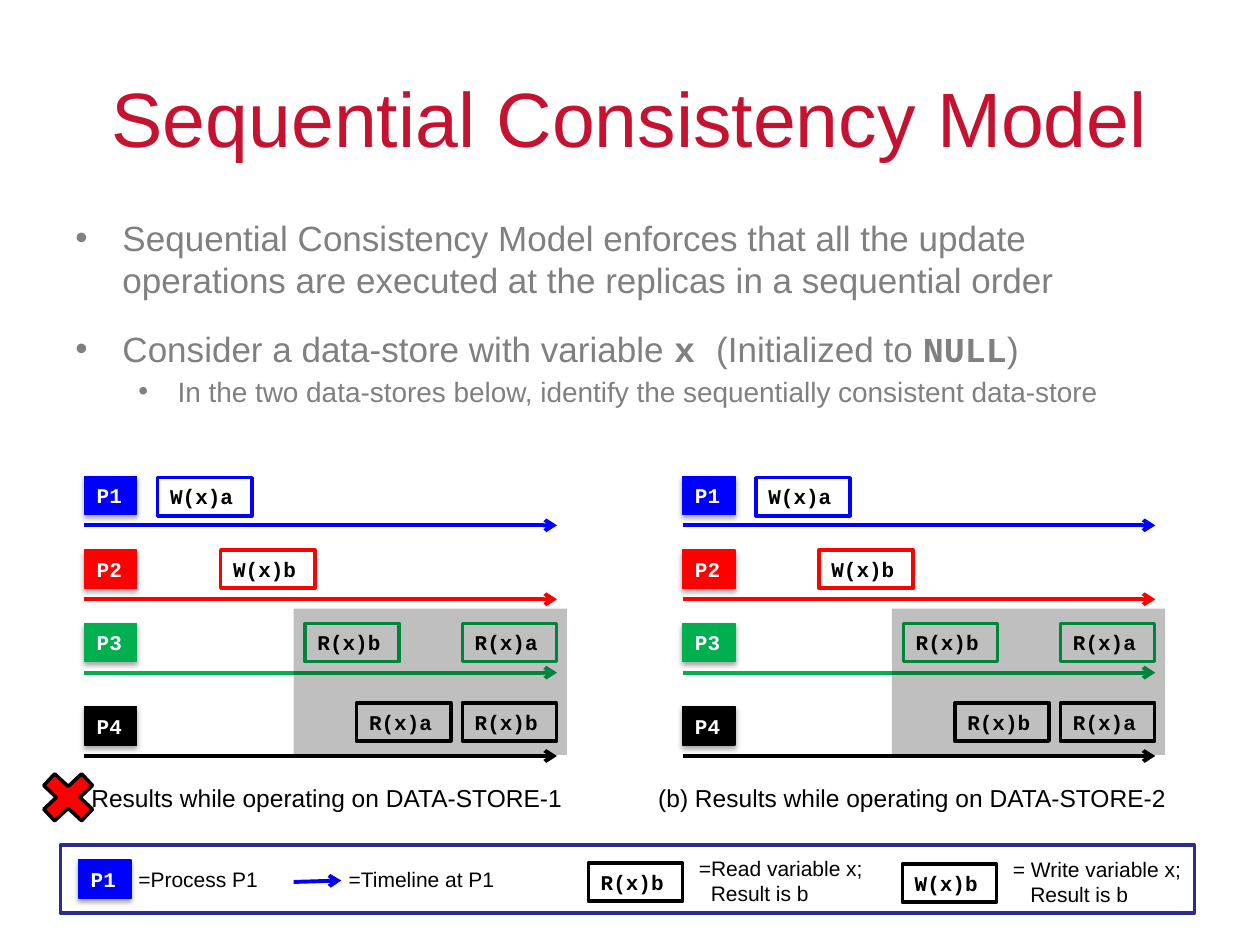
from lxml.etree import SubElement
from pptx import Presentation
from pptx.dml.color import RGBColor
from pptx.enum.shapes import MSO_CONNECTOR, MSO_SHAPE as SHAPE
from pptx.enum.text import MSO_ANCHOR as ANCHOR, PP_ALIGN as ALIGN
from pptx.oxml.ns import qn
from pptx.util import Cm, Pt

COLORS = {"title": "C41230", "body": "808080", "frame": "2D2D8A", "blue": "0000FF",
          "red": "FF0000", "green": "00B050", "black": "000000", "white": "FFFFFF"}
MONO = {"name": "Courier New", "size": Pt(12), "bold": True}
SMALL = {"name": "Arial", "size": Pt(12)}
CAPTION = {"name": "Arial", "size": Pt(14)}
TITLE = {"name": "Arial", "size": Pt(44)}
BODY = {"name": "Arial", "size": Pt(20)}
SUB_BODY = {"name": "Arial", "size": Pt(16)}
CODE = {"name": "Courier New", "size": Pt(20), "bold": True}

# Process name, colour, label top in the store, shift of operations from that top
PROCESSES = [("P1", "blue", 0, 0.03), ("P2", "red", 1.49, 0),
             ("P3", "green", 2.97, 0), ("P4", "black", 4.65, -0.08)]
LABEL_W, OP_W, BOX_H = 1.06, 1.9, 0.77


def rgb(color):
    return RGBColor.from_string(COLORS[color])


def add_run(p, text, fmt, color):
    r = p.add_run()
    r.text = text
    for key, value in fmt.items():
        setattr(r.font, key, value)
    r.font.color.rgb = rgb(color)


def add_text(slide, x, y, w, h, lines, fmt, color="black", hanging=0):
    """Add a text box; lines after the first are indented by hanging cm."""
    tf = slide.shapes.add_textbox(Cm(x), Cm(y), Cm(w), Cm(h)).text_frame
    tf.word_wrap = True
    for i, line in enumerate(lines):
        p = tf.add_paragraph() if i else tf.paragraphs[0]
        if i:
            p._p.get_or_add_pPr().set("marL", str(Cm(hanging)))
        add_run(p, line, fmt, color)
    return tf


def add_box(slide, x, y, w, h, fill, line=None, width=2, shape=SHAPE.RECTANGLE):
    sp = slide.shapes.add_shape(shape, Cm(x), Cm(y), Cm(w), Cm(h))
    sp.shadow.inherit = False
    sp.fill.solid()
    sp.fill.fore_color.rgb = rgb(fill)
    if line:
        sp.line.color.rgb = rgb(line)
        sp.line.width = Pt(width)
    else:
        sp.line.fill.background()
    return sp


def set_box_text(sp, text, color):
    tf = sp.text_frame
    tf.word_wrap = True
    tf.vertical_anchor = ANCHOR.TOP
    p = tf.paragraphs[0]
    p.alignment = ALIGN.LEFT
    add_run(p, text, MONO, color)


def add_process(slide, x, y, name, color):
    sp = add_box(slide, x, y, LABEL_W, BOX_H, color, color, 0.75)
    set_box_text(sp, name, "white")
    effects = sp._element.spPr.find(qn("a:effectLst"))
    shadow = SubElement(effects, qn("a:outerShdw"), blurRad=str(Pt(3.1)),
                        dist=str(Pt(1.8)), dir="5400000", rotWithShape="0")
    black = SubElement(shadow, qn("a:srgbClr"), val=COLORS["black"])
    SubElement(black, qn("a:alpha"), val="35000")


def add_operation(slide, x, y, text, color):
    set_box_text(add_box(slide, x, y, OP_W, BOX_H, "white", color), text, "black")


def add_timeline(slide, x1, y1, x2, y2, color):
    line = slide.shapes.add_connector(MSO_CONNECTOR.STRAIGHT, Cm(x1), Cm(y1), Cm(x2), Cm(y2))
    line.line.color.rgb = rgb(color)
    line.line.width = Pt(2.25)
    SubElement(line.line._get_or_add_ln(), qn("a:tailEnd"), type="arrow")
    SubElement(line._element.spPr, qn("a:effectLst"))


def add_title(slide, x, y, w, h):
    tf = add_text(slide, x, y, w, h, ["Sequential Consistency Model"], TITLE, "title")
    tf.vertical_anchor = ANCHOR.MIDDLE
    tf.paragraphs[0].alignment = ALIGN.CENTER


def add_body(slide, x, y, w, h):
    # Level, left margin, hanging indent, space before, runs
    bullets = [
        (0, 0.95, 0.95, 0, [("Sequential Consistency Model enforces that all the update "
                             "operations are executed at the replicas in a sequential order",
                             BODY)]),
        (0, 0.95, 0.95, 15, [("Consider a data-store with variable ", BODY), ("x ", CODE),
                             ("(Initialized to ", BODY), ("NULL", CODE), (")", BODY)]),
        (1, 2.06, 0.79, 3.2, [("In the two data-stores below, identify the sequentially "
                               "consistent data-store", SUB_BODY)]),
    ]
    tf = slide.shapes.add_textbox(Cm(x), Cm(y), Cm(w), Cm(h)).text_frame
    tf.word_wrap = True
    tf.margin_top = Cm(0.23)
    for i, (level, margin, hanging, before, runs) in enumerate(bullets):
        p = tf.add_paragraph() if i else tf.paragraphs[0]
        p.level = level
        p.space_before = Pt(before)
        pPr = p._p.get_or_add_pPr()
        pPr.set("marL", str(Cm(margin)))
        pPr.set("indent", str(-Cm(hanging)))
        SubElement(pPr, qn("a:buFont"), typeface="Arial")
        SubElement(pPr, qn("a:buChar"), char="•")
        for text, fmt in runs:
            add_run(p, text, fmt, "body")


def add_store(slide, x, y, w, operations):
    """Draw four process timelines; operations lists (offset, text) per process."""
    for (name, color, top, shift), row in zip(PROCESSES, operations):
        line_y = y + top + 0.99
        add_timeline(slide, x, line_y, x + w, line_y, color)
        add_process(slide, x, y + top, name, color)
        for offset, text in row:
            add_operation(slide, x + offset, y + top + shift, text, color)


def add_shade(slide, x, y, w, h):
    sp = add_box(slide, x, y, w, h, "black")
    color = sp._element.spPr.find(qn("a:solidFill"))[0]
    SubElement(color, qn("a:alpha"), val="25000")


def add_legend(slide, x, y, w, h):
    add_box(slide, x, y, w, h, "white", "frame")
    add_process(slide, x + 0.36, y + 0.3, "P1", "blue")
    add_text(slide, x + 1.32, y + 0.3, 3.81, BOX_H, ["=Process P1"], SMALL)
    add_timeline(slide, x + 4.7, y + 0.74, x + 5.66, y + 0.71, "blue")
    add_text(slide, x + 5.56, y + 0.3, 3.81, BOX_H, ["=Timeline at P1"], SMALL)
    add_operation(slide, x + 10.64, y + 0.36, "R(x)b", "black")
    add_text(slide, x + 12.62, y + 0.08, 3.85, 1.27,
             ["=Read variable x;", "Result is b"], SMALL, hanging=0.24)
    add_operation(slide, x + 16.97, y + 0.38, "W(x)b", "black")
    add_text(slide, x + 18.95, y + 0.1, 3.97, 1.27,
             ["= Write variable x;", "Result is b"], SMALL, hanging=0.35)


def main():
    prs = Presentation()
    prs.slide_width, prs.slide_height = Cm(25.4), Cm(19.05)
    slide = prs.slides.add_slide(prs.slide_layouts[6])
    add_title(slide, 1.27, 0.76, 22.86, 3.18)
    add_body(slide, 1.27, 4.14, 22.86, 12.57)

    store_y = 9.6
    first_rows = [[(1.48, "W(x)a")], [(2.75, "W(x)b")], [(4.45, "R(x)b"), (7.62, "R(x)a")]]
    stores = [
        (1.7, 0.85, "(a) Results while operating on DATA-STORE-1", ("R(x)a", "R(x)b")),
        (13.76, 13.02, "(b) Results while operating on DATA-STORE-2", ("R(x)b", "R(x)a")),
    ]
    for x, caption_x, caption, last_reads in stores:
        last_row = list(zip((5.49, 7.62), last_reads))
        add_store(slide, x, store_y, 9.53, first_rows + [last_row])
        add_text(slide, caption_x, 15.67, 10.9, 0.86, [caption], CAPTION)
        add_shade(slide, x + 4.22, store_y + 2.67, 5.51, 2.95)
    add_box(slide, 0.64, 15.39, 1.47, 1.37, "red", "black", shape=SHAPE.MATH_MULTIPLY)

    add_legend(slide, 1.22, 17.04, 22.86, 1.37)
    prs.save("out.pptx")


if __name__ == "__main__":
    main()
